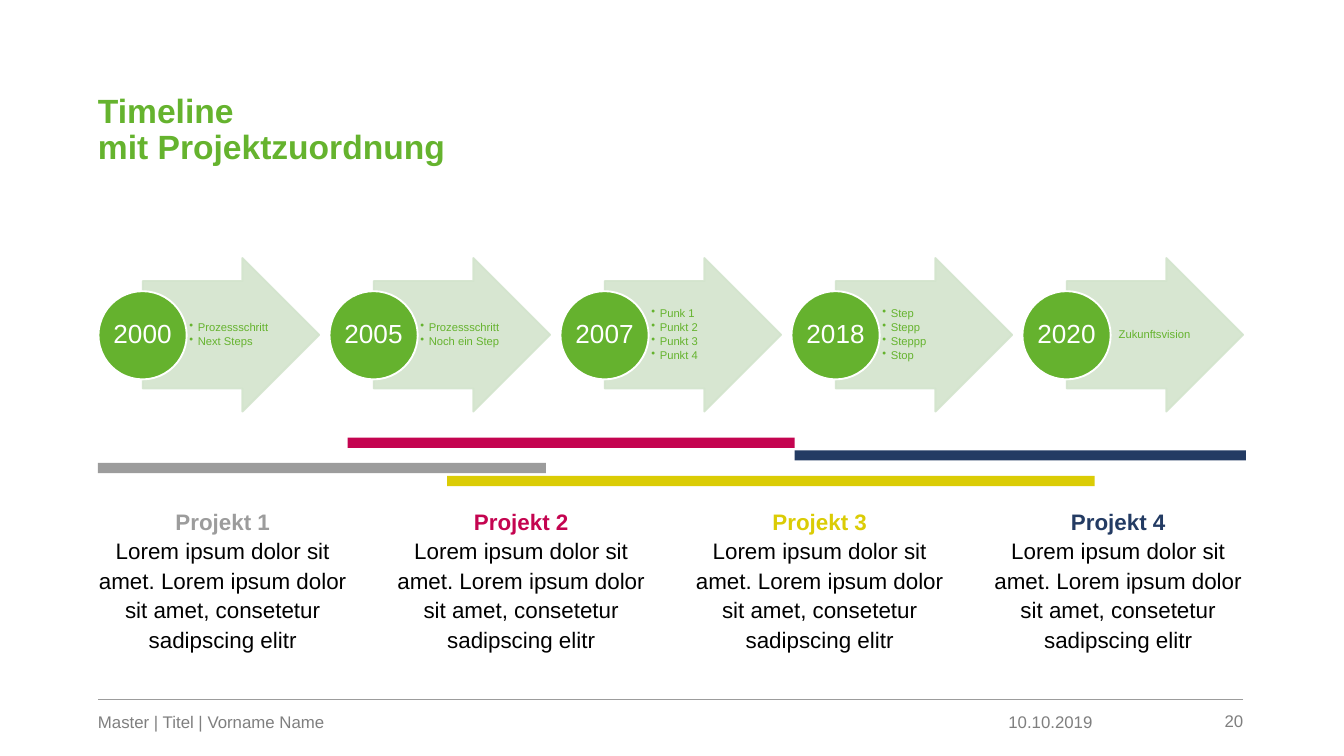
from lxml import etree
from pptx import Presentation
from pptx.dml.color import RGBColor
from pptx.enum.shapes import MSO_CONNECTOR, MSO_SHAPE
from pptx.enum.text import MSO_ANCHOR, PP_ALIGN
from pptx.oxml.ns import qn
from pptx.util import Pt

ARROW, OVAL, RECT = MSO_SHAPE.RIGHT_ARROW, MSO_SHAPE.OVAL, MSO_SHAPE.RECTANGLE
LINE = MSO_CONNECTOR.STRAIGHT
TOP, MIDDLE, BOTTOM = MSO_ANCHOR.TOP, MSO_ANCHOR.MIDDLE, MSO_ANCHOR.BOTTOM
LEFT, CENTER, RIGHT = PP_ALIGN.LEFT, PP_ALIGN.CENTER, PP_ALIGN.RIGHT

GREEN = RGBColor(0x65, 0xB3, 0x2E)
DISC = RGBColor(0x65, 0xB2, 0x2E)
PALE = RGBColor(0xD3, 0xE4, 0xCD)
GRAY = RGBColor(0x9C, 0x9C, 0x9C)
DIM = RGBColor(0x7F, 0x7F, 0x7F)
PINK = RGBColor(0xC4, 0x04, 0x50)
GOLD = RGBColor(0xDB, 0xCC, 0x05)
NAVY = RGBColor(0x23, 0x3B, 0x63)
BLACK = RGBColor(0, 0, 0)
WHITE = RGBColor(255, 255, 255)

deck = Presentation()
deck.slide_width, deck.slide_height = Pt(720), Pt(405)
slide = deck.slides.add_slide(deck.slide_layouts[6])
shapes = slide.shapes


def write(area, paras, size, align=LEFT, anchor=TOP, pitch=None,
          pad=(0, 0, 0, 0), after=None, bullet=False):
    """Add a text box; each paragraph is a list of (text, color, bold) lines."""
    frame = shapes.add_textbox(*map(Pt, area)).text_frame
    sides = dict(zip(("left", "top", "right", "bottom"), map(Pt, pad)))
    for side, gap in sides.items():
        setattr(frame, "margin_" + side, gap)
    frame.word_wrap, frame.vertical_anchor = True, anchor
    for i, lines in enumerate(paras):
        para = frame.add_paragraph() if i else frame.paragraphs[0]
        if bullet:
            props = para._p.get_or_add_pPr()
            props.set("marL", str(Pt(4.5)))
            props.set("indent", str(Pt(-4.5)))
            etree.SubElement(props, qn("a:buChar"), char="•")
        form = {"alignment": align, "line_spacing": pitch, "space_after": after}
        for name, value in form.items():
            setattr(para, name, value)
        for j, (text, color, bold) in enumerate(lines):
            if j:
                para.add_line_break()
            run = para.add_run()
            run.text = text
            look = {"name": "Arial", "size": Pt(size), "bold": bold}
            for name, value in look.items():
                setattr(run.font, name, value)
            run.font.color.rgb = color
        # Breaks take the text size too
        for gap in para._p.findall(qn("a:br")):
            etree.SubElement(gap, qn("a:rPr"), sz=str(size * 100))


def draw(kind, area, fill, edge=None, alpha=None):
    """Add a filled shape, with an optional 1 pt edge and opacity in percent."""
    shape = shapes.add_shape(kind, *map(Pt, area))
    shape.shadow.inherit = False
    shape.fill.solid()
    shape.fill.fore_color.rgb = fill
    if edge is None:
        shape.line.fill.background()
    else:
        shape.line.width = Pt(1)
        shape.line.color.rgb = edge
    if alpha:
        for tint in shape._element.spPr.iter(qn("a:srgbClr")):
            etree.SubElement(tint, qn("a:alpha"), val=str(alpha * 1000))
    return shape


# Title
write((52.5, 29.5, 613.5, 59.75),
      [[("Timeline", GREEN, True), ("mit Projektzuordnung", GREEN, True)]],
      18, anchor=BOTTOM, pitch=0.9)

# Footer
rule = shapes.add_connector(LINE, Pt(666), Pt(375), Pt(52.5), Pt(375))
rule.line.width = Pt(0.5)
rule.line.color.rgb = GRAY
etree.SubElement(rule._element.spPr, qn("a:effectLst"))
for x, wide, high, align, text in (
    (505.25, 80, 17.25, RIGHT, "10.10.2019"),
    (52.5, 347, 17.25, LEFT, "Master | Titel | Vorname Name"),
    (611.25, 54.75, 16.75, RIGHT, "20"),
):
    write((x, 375, wide, high), [[(text, DIM, False)]], 9, align, BOTTOM)

# Timeline steps
steps = (
    ("2000", ("Prozessschritt", "Next Steps")),
    ("2005", ("Prozessschritt", "Noch ein Step")),
    ("2007", ("Punk 1", "Punkt 2", "Punkt 3", "Punkt 4")),
    ("2018", ("Step", "Stepp", "Steppp", "Stop")),
    ("2020", ("Zukunftsvision",)),
)
for i, (year, notes) in enumerate(steps):
    x = 52.75 + 123.75 * i
    arrow = draw(ARROW, (x + 23.75, 138.25, 94.5, 82.25), PALE, PALE, 90)
    arrow.adjustments[0], arrow.adjustments[1] = 0.7, 0.5
    listed = len(notes) > 1
    write((x + 47.25, 150.5, 46.25, 57.75),
          [[(note, GREEN, False)] for note in notes], 6,
          LEFT if listed else CENTER, MIDDLE, 0.9, (1.5, 0, 0.75, 0),
          Pt(1) if listed else None, listed)
    draw(OVAL, (x, 156, 47.25, 47.25), DISC, WHITE)
    write((x + 7, 163, 33.25, 33.25), [[(year, WHITE, False)]],
          14, CENTER, MIDDLE, 0.9, (0.75,) * 4)

# Projects: bar and caption
LOREM = ("Lorem ipsum dolor sit amet. Lorem ipsum dolor sit amet, "
         "consetetur sadipscing elitr")
projects = (
    (GRAY, 52.5, 248, 240),
    (PINK, 186.25, 234.5, 239.5),
    (GOLD, 239.5, 255, 347),
    (NAVY, 425.75, 241.25, 241.75),
)
for i, (color, x, y, wide) in enumerate(projects):
    draw(RECT, (x, y, wide, 5.5), color)
    write((52.5 + 159.9 * i, 270.75, 133.75, 89.25),
          [[(f"Projekt {i + 1}", color, True), (LOREM, BLACK, False)]],
          12, CENTER, pitch=1.1)

deck.save("out.pptx")
